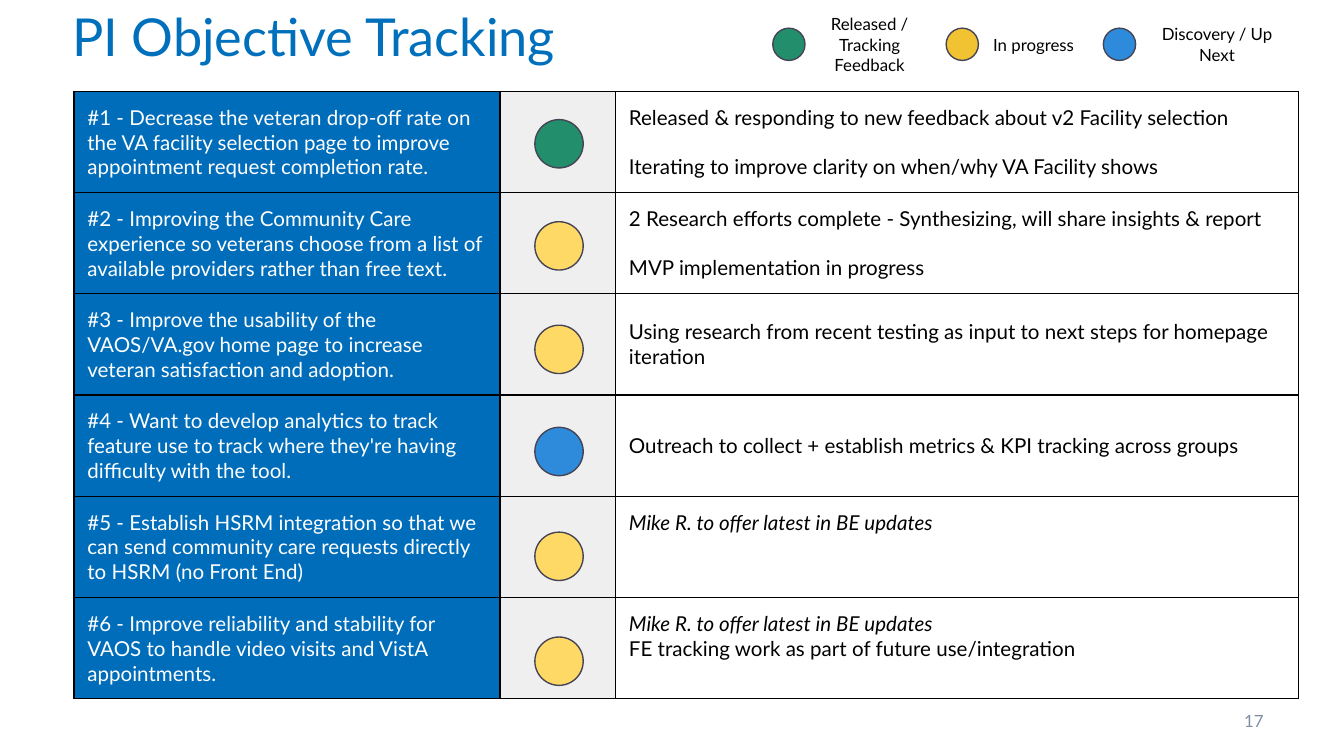
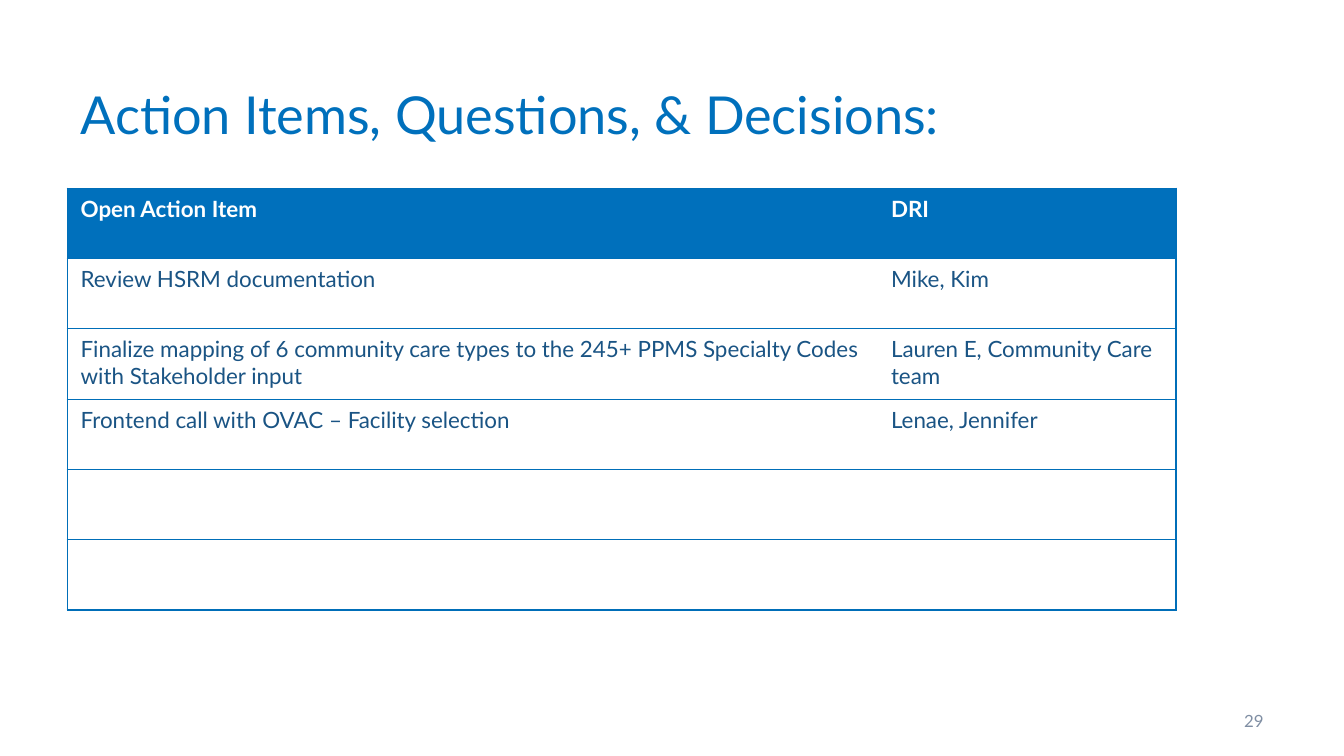
from lxml import etree
from pptx import Presentation
from pptx.dml.color import RGBColor
from pptx.enum.shapes import MSO_SHAPE
from pptx.enum.text import MSO_ANCHOR, PP_ALIGN
from pptx.oxml.ns import qn
from pptx.util import Inches, Pt

TOP, MIDDLE = MSO_ANCHOR.TOP, MSO_ANCHOR.MIDDLE
LEFT, CENTER, RIGHT = PP_ALIGN.LEFT, PP_ALIGN.CENTER, PP_ALIGN.RIGHT
OVAL = MSO_SHAPE.OVAL

FONT = "Lato"
TITLE_BLUE = RGBColor(0x00, 0x70, 0xBC)
OBJECTIVE_BLUE = RGBColor(0x00, 0x6D, 0xBB)
BORDER_BLUE = RGBColor(0x00, 0x6E, 0xB8)
BODY_BLUE = RGBColor(0x1A, 0x54, 0x84)
NUMBER_GRAY = RGBColor(0x7F, 0x8E, 0xA3)
STATUS_GRAY = RGBColor(0xEF, 0xEF, 0xEF)
OUTLINE = RGBColor(0x45, 0x44, 0x54)
BLACK = RGBColor(0x00, 0x00, 0x00)
WHITE = RGBColor(0xFF, 0xFF, 0xFF)
GREEN = RGBColor(0x22, 0x8E, 0x6B)
GOLD = RGBColor(0xF1, 0xC2, 0x32)
YELLOW = RGBColor(0xFF, 0xD9, 0x66)
BLUE = RGBColor(0x2E, 0x8B, 0xDC)

# Content: label, color, dot left, label left, label width
LEGEND = [
    ("Released / Tracking Feedback", GREEN, 5.75, 6.01, 0.92),
    ("In progress", GOLD, 7.04, 7.23, 0.92),
    ("Discovery / Up Next", BLUE, 8.21, 8.41, 1.29),
]

BACKEND_UPDATE = "Mike R. to offer latest in BE updates"

# Content: objective, status color, dot top, update lines, anchor, line gap
OBJECTIVES = [
    ("#1 - Decrease the veteran drop-off rate on the VA facility selection page "
     "to improve appointment request completion rate.", GREEN, 0.89,
     ["Released & responding to new feedback about v2 Facility selection",
      "Iterating to improve clarity on when/why VA Facility shows"], TOP, 13.2),
    ("#2 - Improving the Community Care experience so veterans choose from a "
     "list of available providers rather than free text.", YELLOW, 1.65,
     ["2 Research efforts complete - Synthesizing, will share insights & report",
      "MVP implementation in progress"], TOP, 13.2),
    ("#3 - Improve the usability of the VAOS/VA.gov home page to increase "
     "veteran satisfaction and adoption.", YELLOW, 2.42,
     ["Using research from recent testing as input to next steps for homepage "
      "iteration"], MIDDLE, 0),
    ("#4 - Want to develop analytics to track feature use to track where "
     "they're having difficulty with the tool.", BLUE, 3.18,
     ["Outreach to collect + establish metrics & KPI tracking across groups"],
     MIDDLE, 0),
    ("#5 - Establish HSRM integration so that we can send community care "
     "requests directly to HSRM (no Front End)", YELLOW, 3.96,
     [BACKEND_UPDATE], TOP, 0),
    ("#6 - Improve reliability and stability for VAOS to handle video visits "
     "and VistA appointments.", YELLOW, 4.74,
     [BACKEND_UPDATE, "FE tracking work as part of future use/integration"],
     TOP, 0),
]

ACTION_ITEMS = [
    ("Open Action Item", "DRI"),
    ("Review HSRM documentation", "Mike, Kim"),
    ("Finalize mapping of 6 community care types to the 245+ PPMS Specialty "
     "Codes with Stakeholder input", "Lauren E, Community Care team"),
    ("Frontend call with OVAC – Facility selection", "Lenae, Jennifer"),
    ("", ""),
    ("", ""),
]


def write(text_frame, lines, size, color, align=LEFT, bold=False, gap=0):
    text_frame.text = "\n".join(lines)
    for index, paragraph in enumerate(text_frame.paragraphs):
        paragraph.alignment = align
        if index and gap:
            paragraph.space_before = Pt(gap)
        for run in paragraph.runs:
            run.font.name = FONT
            run.font.size = Pt(size)
            run.font.bold = bold
            run.font.color.rgb = color


def add_label(slide, text, left, top, width, height, color, align):
    label = slide.shapes.add_textbox(
        Inches(left), Inches(top), Inches(width), Inches(height))
    text_frame = label.text_frame
    text_frame.word_wrap = True
    text_frame.vertical_anchor = MIDDLE
    write(text_frame, [text], 9, color, align)


def add_titled_slide(presentation, title_text, left, top, number):
    slide = presentation.slides.add_slide(presentation.slide_layouts[5])
    title = slide.shapes.title
    title.left, title.top = Inches(left), Inches(top)
    title.width, title.height = Inches(8.25), Inches(0.69)
    title.text_frame.vertical_anchor = TOP
    write(title.text_frame, [title_text], 28, TITLE_BLUE)
    add_label(slide, number, 8.75, 5.21, 0.75, 0.3, NUMBER_GRAY, RIGHT)
    return slide


def add_dot(slide, left, top, size, color):
    dot = slide.shapes.add_shape(
        OVAL, Inches(left), Inches(top), Inches(size), Inches(size))
    dot.shadow.inherit = False
    dot.fill.solid()
    dot.fill.fore_color.rgb = color
    dot.line.color.rgb = OUTLINE
    dot.line.width = Pt(0.75)


def add_plain_table(slide, left, top, widths, row_count, height):
    table = slide.shapes.add_table(
        row_count, len(widths), Inches(left), Inches(top),
        Inches(sum(widths)), Inches(height)).table
    table.first_row = table.horz_banding = False
    for column, width in zip(table.columns, widths):
        column.width = Inches(width)
    for row in table.rows:
        row.height = Inches(height / row_count)
    return table


def style_cell(cell, fill, border, sides="LRTB"):
    """Draw the given sides, clear the others, then fill the cell."""
    properties = cell._tc.get_or_add_tcPr()
    for side in "LRTB":
        line = etree.SubElement(properties, qn(f"a:ln{side}"), w=str(Pt(0.75)))
        if side in sides:
            solid = etree.SubElement(line, qn("a:solidFill"))
            etree.SubElement(solid, qn("a:srgbClr"), val=str(border))
        else:
            etree.SubElement(line, qn("a:noFill"))
    if fill is None:
        cell.fill.background()
    else:
        cell.fill.solid()
        cell.fill.fore_color.rgb = fill


def build_objectives(presentation):
    slide = add_titled_slide(presentation, "PI Objective Tracking", 0.44, -0.02, "17")

    # Objectives table
    table = add_plain_table(
        slide, 0.55, 0.68, [3.17, 0.86, 5.08], len(OBJECTIVES), 4.52)
    for row, (objective, _, _, updates, anchor, gap) in enumerate(OBJECTIVES):
        cells = [table.cell(row, column) for column in range(3)]
        for cell, fill in zip(cells, (OBJECTIVE_BLUE, STATUS_GRAY, None)):
            style_cell(cell, fill, BLACK)
            cell.margin_top = cell.margin_bottom = Inches(0.1)
            cell.margin_left = cell.margin_right = Inches(0.1)
        write(cells[0].text_frame, [objective], 11, WHITE)
        write(cells[2].text_frame, updates, 11, BLACK, gap=gap)
        cells[2].vertical_anchor = anchor
        first_run = cells[2].text_frame.paragraphs[0].runs[0]
        first_run.font.italic = first_run.text == BACKEND_UPDATE

    # Status dots
    for _, color, dot_top, *_ in OBJECTIVES:
        add_dot(slide, 3.98, dot_top, 0.36, color)

    # Legend
    for text, color, dot_left, label_left, label_width in LEGEND:
        add_dot(slide, dot_left, 0.21, 0.24, color)
        add_label(slide, text, label_left, 0.21, label_width, 0.24, BLACK, CENTER)


def build_action_items(presentation):
    slide = add_titled_slide(
        presentation, "Action Items, Questions, & Decisions:", 0.5, 0.56, "29")

    # Action table, ruled without an inner vertical line
    table = add_plain_table(
        slide, 0.5, 1.4, [6.03, 2.22], len(ACTION_ITEMS), 3.14)
    table.first_row = True
    for row, texts in enumerate(ACTION_ITEMS):
        header = row == 0
        for column, text in enumerate(texts):
            cell = table.cell(row, column)
            style_cell(cell, TITLE_BLUE if header else None, BORDER_BLUE,
                       ("LTB", "RTB")[column])
            if text:
                write(cell.text_frame, [text], 12,
                      WHITE if header else BODY_BLUE, bold=header)


def main():
    presentation = Presentation()
    presentation.slide_width = Pt(720)
    presentation.slide_height = Pt(405)
    build_objectives(presentation)
    build_action_items(presentation)
    presentation.save("out.pptx")


if __name__ == "__main__":
    main()
